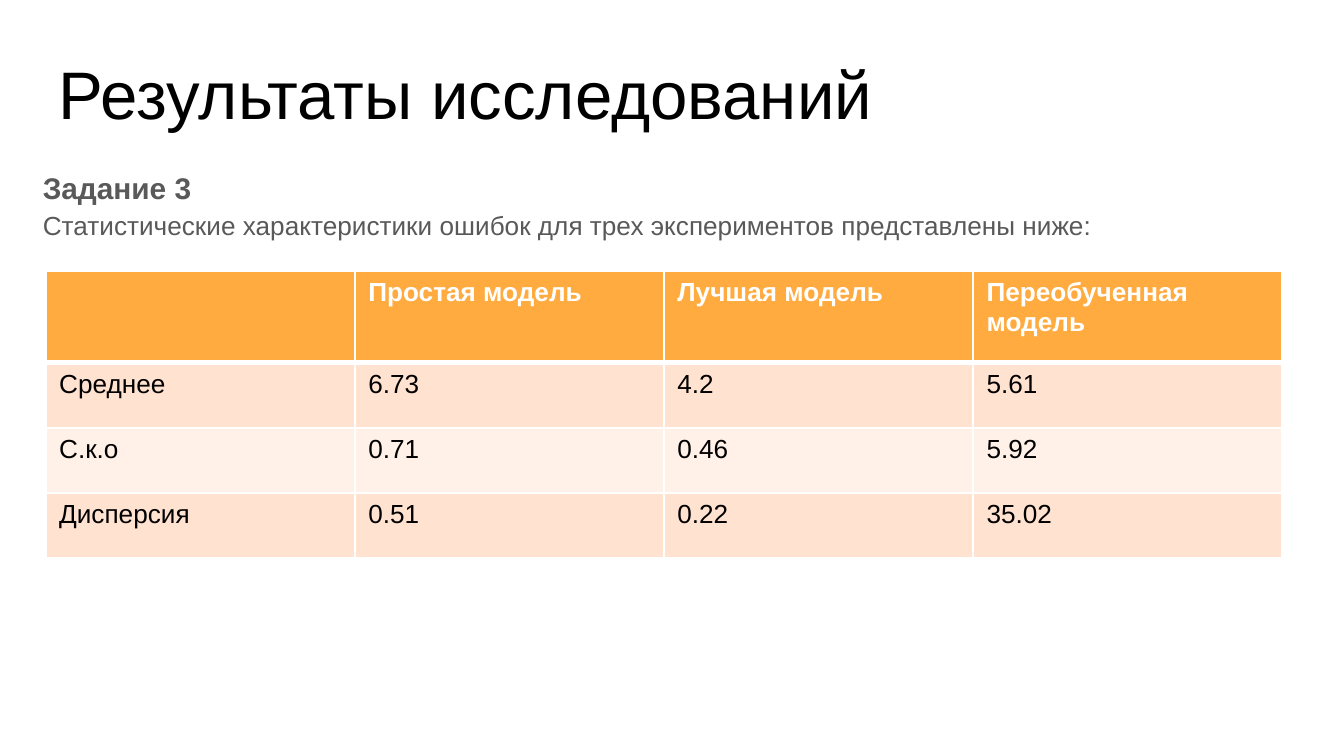
from lxml import etree
from pptx import Presentation
from pptx.dml.color import RGBColor
from pptx.enum import text
from pptx.oxml.ns import qn
from pptx.util import Inches, Pt

BLACK = RGBColor(0x00, 0x00, 0x00)
WHITE = RGBColor(0xFF, 0xFF, 0xFF)
GRAY = RGBColor(0x59, 0x59, 0x59)
ORANGE = RGBColor(0xFF, 0xAB, 0x40)
PEACH = RGBColor(0xFF, 0xE2, 0xCF)
PALE_PEACH = RGBColor(0xFF, 0xF1, 0xE8)

RESULTS = [
    ["", "Простая модель", "Лучшая модель", "Переобученная модель"],
    ["Среднее", "6.73", "4.2", "5.61"],
    ["С.к.о", "0.71", "0.46", "5.92"],
    ["Дисперсия", "0.51", "0.22", "35.02"],
]


def write(paragraph, content, size=14, color=BLACK, bold=False, spacing=None):
    """Put formatted text into a paragraph."""
    paragraph.alignment = text.PP_ALIGN.LEFT
    if spacing:
        paragraph.line_spacing = spacing
    run = paragraph.add_run()
    run.text = content
    run.font.name = "Arial"
    run.font.size = Pt(size)
    run.font.bold = bold
    run.font.color.rgb = color


def add_frame(slide, left, top, width, height):
    """Add a wrapping text box and return its text frame."""
    box = slide.shapes.add_textbox(
        Inches(left), Inches(top), Inches(width), Inches(height))
    frame = box.text_frame
    frame.word_wrap = True
    frame.vertical_anchor = text.MSO_ANCHOR.TOP
    frame.margin_left = frame.margin_right = Inches(0.1)
    frame.margin_top = frame.margin_bottom = Inches(0.1)
    return frame


def add_border(cell, side, width):
    """Draw one white cell edge; call before the fill is set."""
    line = etree.SubElement(
        cell._tc.get_or_add_tcPr(), qn(f"a:ln{side}"), w=str(Pt(width)))
    fill = etree.SubElement(line, qn("a:solidFill"))
    etree.SubElement(fill, qn("a:srgbClr"), val=str(WHITE))


def add_title(slide, left, top, width, height):
    frame = add_frame(slide, left, top, width, height)
    write(frame.paragraphs[0], "Результаты исследований", size=36)


def add_task(slide, left, top, width, height):
    frame = add_frame(slide, left, top, width, height)
    write(frame.paragraphs[0], "Задание 3",
          size=16, color=GRAY, bold=True, spacing=1.15)
    write(frame.add_paragraph(),
          "Статистические характеристики ошибок для трех экспериментов "
          "представлены ниже:", color=GRAY, spacing=1.15)


def add_results(slide, left, top, width, height, header_height):
    row_count, column_count = len(RESULTS), len(RESULTS[0])
    row_height = (height - header_height) / (row_count - 1)
    table = slide.shapes.add_table(
        row_count, column_count, Inches(left), Inches(top),
        Inches(width), Inches(height)).table
    for column in table.columns:
        column.width = Inches(width / column_count)

    for r, values in enumerate(RESULTS):
        header = r == 0
        table.rows[r].height = Inches(header_height if header else row_height)
        band = ORANGE if header else (PEACH if r % 2 else PALE_PEACH)
        for c, value in enumerate(values):
            cell = table.cell(r, c)
            # Thick rule between the header and the first data row
            edges = {"L": 1, "R": 1, "T": 3 if r == 1 else 1,
                     "B": 3 if header else 1}
            for side, weight in edges.items():
                add_border(cell, side, weight)
            cell.fill.solid()
            cell.fill.fore_color.rgb = band
            if value:
                write(cell.text_frame.paragraphs[0], value,
                      color=WHITE if header else BLACK, bold=header)


def main():
    deck = Presentation()
    # Widescreen 16:9
    deck.slide_width = Inches(10)
    deck.slide_height = Inches(10 * 9 / 16)
    slide = deck.slides.add_slide(deck.slide_layouts[6])
    add_title(slide, 0.34, 0.29, 9.32, 0.63)
    add_task(slide, 0.22, 1.12, 9.32, 3.88)
    add_results(slide, 0.34, 2.02, 9.2, 2.13, header_height=0.68)
    deck.save("out.pptx")


if __name__ == "__main__":
    main()
